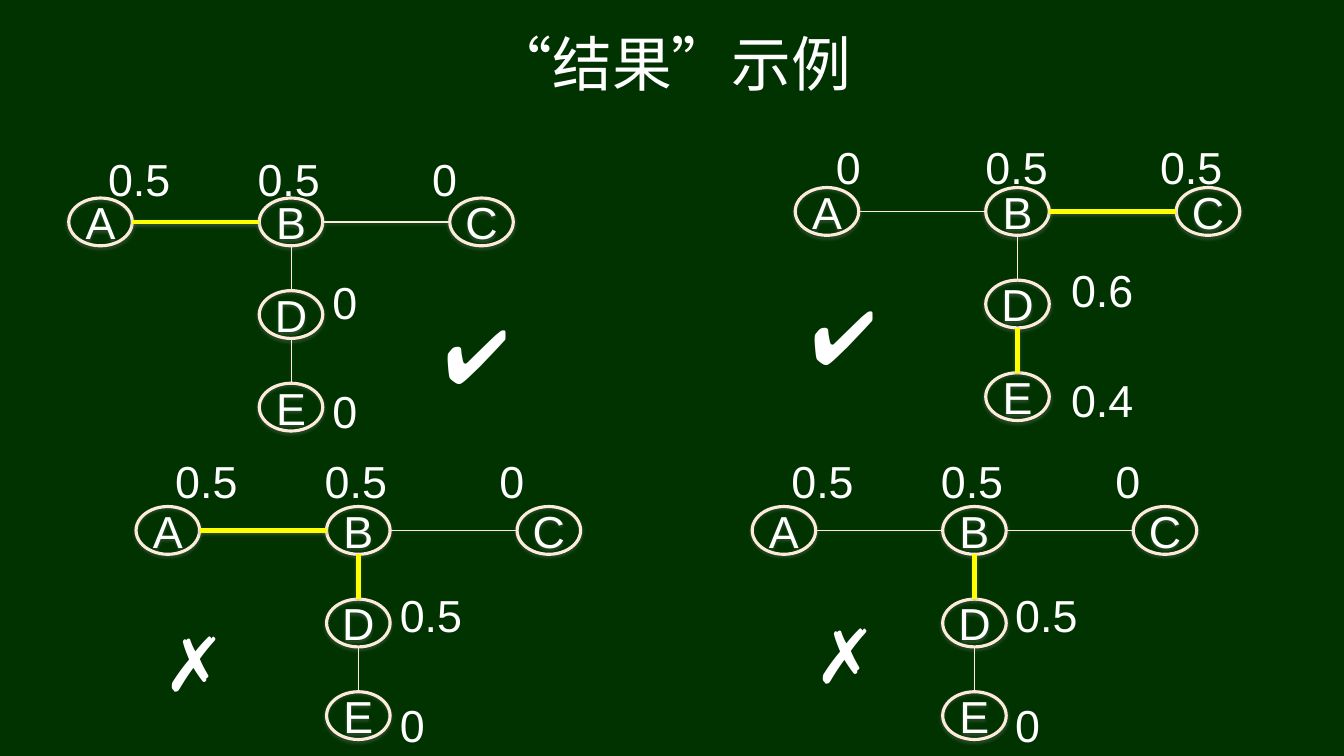
from dataclasses import dataclass

from lxml import etree
from pptx import Presentation
from pptx.dml.color import RGBColor
from pptx.enum.shapes import MSO_CONNECTOR, MSO_SHAPE
from pptx.enum.text import MSO_ANCHOR, PP_ALIGN
from pptx.oxml.ns import qn
from pptx.util import Pt

GREEN = RGBColor(0x00, 0x33, 0x00)
WHITE = RGBColor(0xFF, 0xFF, 0xFF)
CREAM = RGBColor(0xFD, 0xEA, 0xDA)
YELLOW = RGBColor(0xFF, 0xFF, 0x00)
GREY = RGBColor(0x80, 0x80, 0x80)

NODE_WIDTH, NODE_HEIGHT = 60.5, 45.5
COLUMN_STEP, ROW_STEP = 181.44, 88.2
NODES = {"A": (0, 0), "B": (1, 0), "C": (2, 0), "D": (1, 1), "E": (1, 2)}
EDGES = ("AB", "BC", "BD", "DE")
LABEL_TABS = (142.4, 308.6)


@dataclass
class GraphSlide:
    slide: object
    font: str = "Arial"
    size: float = 42.7
    title_size: float = 56.9
    mark_size: float = 71.1

    def style(self, paragraph, size):
        paragraph.font.name = self.font
        paragraph.font.size = Pt(size)
        paragraph.font.color.rgb = WHITE

    def shadow(self, shape, opacity, distance):
        properties = shape._element.spPr
        effects = etree.SubElement(properties, qn("a:effectLst"))
        outer = etree.SubElement(
            effects, qn("a:outerShdw"), blurRad=str(Pt(3.1)), dist=str(Pt(distance)),
            dir="5400000", rotWithShape="0")
        color = etree.SubElement(outer, qn("a:srgbClr"), val=str(GREY))
        etree.SubElement(color, qn("a:alpha"), val=str(opacity * 1000))

    def text(self, left, top, width, height, content, size, margin_top=3.6):
        box = self.slide.shapes.add_textbox(Pt(left), Pt(top), Pt(width), Pt(height))
        frame = box.text_frame
        frame.word_wrap = True
        frame.margin_top = Pt(margin_top)
        frame.text = content
        for paragraph in frame.paragraphs:
            self.style(paragraph, size)
        return frame

    def title(self, content):
        frame = self.text(64, 0, 1152, 120, content, self.title_size)
        frame.vertical_anchor = MSO_ANCHOR.MIDDLE
        frame.paragraphs[0].alignment = PP_ALIGN.CENTER

    def node(self, left, top, letter):
        oval = self.slide.shapes.add_shape(
            MSO_SHAPE.OVAL, Pt(left), Pt(top), Pt(NODE_WIDTH), Pt(NODE_HEIGHT))
        oval.fill.background()
        oval.line.color.rgb = CREAM
        oval.line.width = Pt(3)
        self.shadow(oval, 35, 1.8)
        frame = oval.text_frame
        frame.margin_left = frame.margin_right = 0
        frame.margin_top = frame.margin_bottom = 0
        frame.word_wrap = False
        frame.vertical_anchor = MSO_ANCHOR.MIDDLE
        frame.text = letter
        frame.paragraphs[0].alignment = PP_ALIGN.CENTER
        self.style(frame.paragraphs[0], self.size)

    def edge(self, start, end, color, width):
        line = self.slide.shapes.add_connector(
            MSO_CONNECTOR.STRAIGHT, *(Pt(value) for value in (*start, *end)))
        line.line.color.rgb = color
        line.line.width = Pt(width)
        self.shadow(line, 38, 1.6)

    def top_values(self, left, top, width, values):
        frame = self.text(left, top, width, 59, "\t".join(values), self.size, 8)
        properties = frame.paragraphs[0]._p.get_or_add_pPr()
        stops = etree.Element(qn("a:tabLst"))
        for position in LABEL_TABS:
            etree.SubElement(stops, qn("a:tab"), pos=str(Pt(position)), algn="l")
        properties.insert(0, stops)

    def side_values(self, left, top, width, values):
        frame = self.text(left, top, width, 162.7, "\n".join(values), self.size, 8)
        frame.paragraphs[1].space_before = Pt(53)

    def mark(self, left, top, width, symbol):
        self.text(left, top, width, 93.6, symbol, self.mark_size)

    def graph(self, left, top, chosen, thin_widths):
        corners = {
            letter: (left + column * COLUMN_STEP, top + row * ROW_STEP)
            for letter, (column, row) in NODES.items()
        }
        for letter, corner in corners.items():
            self.node(*corner, letter)
        for pair in EDGES:
            (x1, y1), (x2, y2) = (corners[letter] for letter in pair)
            if y1 == y2:
                middle = y1 + NODE_HEIGHT / 2
                start, end = (x1 + NODE_WIDTH, middle), (x2, middle)
            else:
                middle = x1 + NODE_WIDTH / 2
                start, end = (middle, y1 + NODE_HEIGHT), (middle, y2)
            if pair in chosen:
                self.edge(start, end, YELLOW, 4.5)
            else:
                self.edge(start, end, CREAM, thin_widths.get(pair, 0.5))


EXAMPLES = [
    dict(graph=(65.5, 188.6, ("AB",), {"BC": 1.5}),
         top=(95.8, 136, 373.7, ("0.5", "0.5", "0")),
         side=(309.6, 253.4, 64, ("0", "0")),
         mark=(416.2, 290.9, 139, "✔")),
    dict(graph=(757.4, 178.6, ("BC", "DE"), {}),
         top=(789.1, 125.3, 405.4, ("0", "0.5", "0.5")),
         side=(1013, 242.6, 85.7, ("0.6", "0.4")),
         mark=(766.1, 272.2, 106.6, "✔")),
    dict(graph=(129.6, 482.4, ("AB", "BD"), {}),
         top=(159.8, 424.1, 373.7, ("0.5", "0.5", "0")),
         side=(373.7, 552.2, 117.4, ("0.5", "0")),
         mark=(149, 583.9, 95.8, "✗")),
    dict(graph=(716.4, 482.4, ("BD",), {}),
         top=(746.6, 424.1, 373.7, ("0.5", "0.5", "0")),
         side=(959.8, 552.2, 117.4, ("0.5", "0")),
         mark=(768.2, 576, 95.8, "✗")),
]


def main():
    deck = Presentation()
    deck.slide_width, deck.slide_height = Pt(1280), Pt(720)
    slide = deck.slides.add_slide(deck.slide_layouts[6])
    slide.background.fill.solid()
    slide.background.fill.fore_color.rgb = GREEN
    page = GraphSlide(slide)
    page.title("“结果”示例")
    for example in EXAMPLES:
        page.graph(*example["graph"])
        page.top_values(*example["top"])
        page.side_values(*example["side"])
        page.mark(*example["mark"])
    deck.save("out.pptx")


if __name__ == "__main__":
    main()
